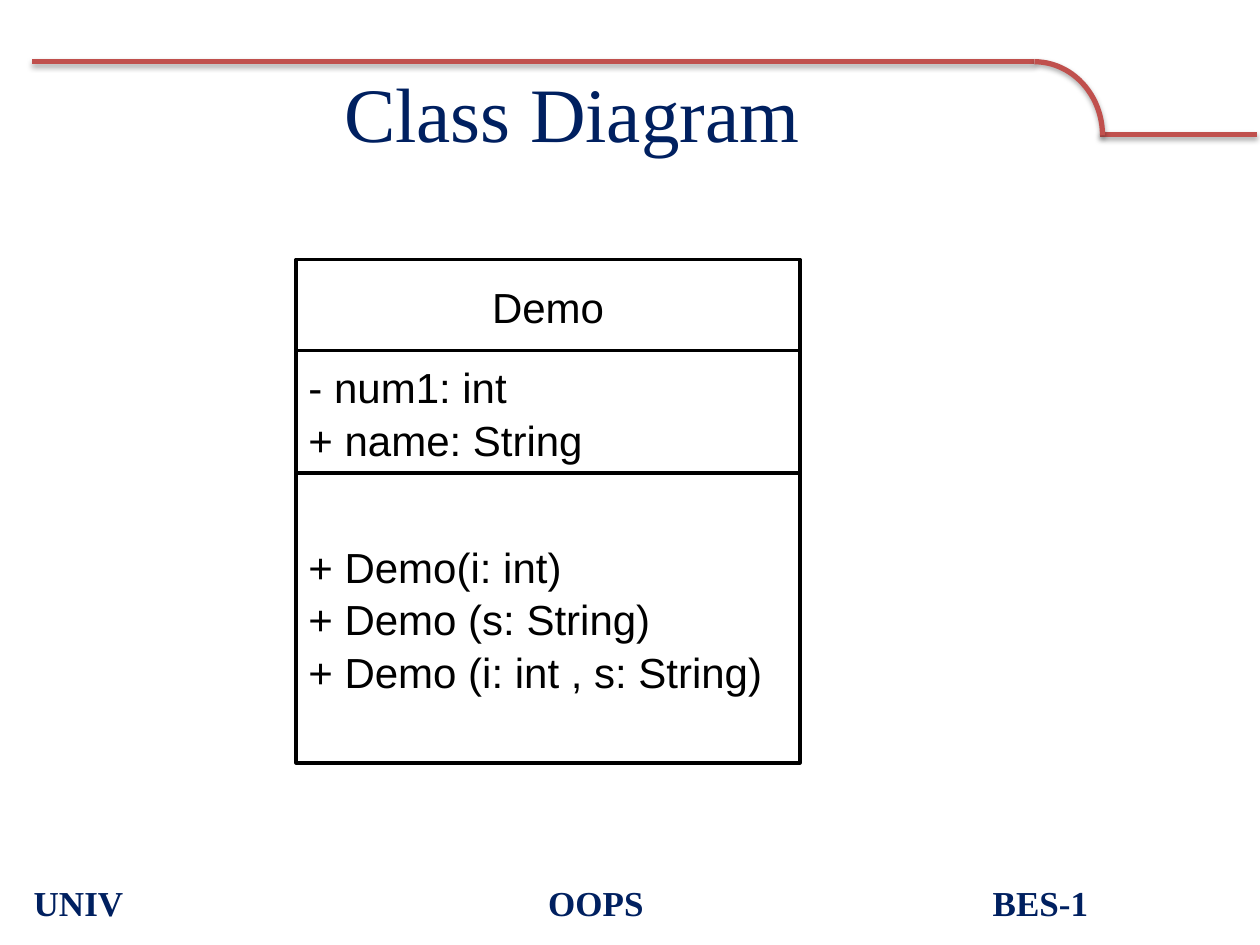
from lxml.etree import SubElement
from pptx import Presentation
from pptx.dml.color import RGBColor
from pptx.enum.shapes import MSO_CONNECTOR, MSO_SHAPE
from pptx.enum.text import MSO_ANCHOR, MSO_AUTO_SIZE, PP_ALIGN
from pptx.oxml.ns import qn
from pptx.util import Pt

NAVY, RED, BLACK = "002060", "C0504D", "000000"
SERIF, SANS = "Times New Roman", "Arial"

TITLE = "Class Diagram"
FOOTER = ["UNIV", "OOPS", "BES-1"]
FOOTER_TABS = [294, 548]
# lines, alignment, height of each compartment
COMPARTMENTS = [
    (["Demo"], PP_ALIGN.CENTER, 52),
    (["- num1: int", "+ name: String"], PP_ALIGN.LEFT, 70),
    (["+ Demo(i: int)", "+ Demo (s: String)", "+ Demo (i: int , s: String)"],
     PP_ALIGN.LEFT, 165.6),
]
CLASS_LEFT, CLASS_TOP, CLASS_WIDTH = 169.2, 148.3, 288
RULES = [(628.5, 77, 718.5, 77), (591, 35.3, 18, 35.3)]
CURVE = (552.2, 35.3, 77.8, 84.2)


def color(hex_code):
    return RGBColor.from_string(hex_code)


def points(*lengths):
    return [Pt(length) for length in lengths]


def format_text(frame, font, size, hex_code, align, bold=False):
    frame.word_wrap = True
    frame.auto_size = MSO_AUTO_SIZE.NONE
    frame.vertical_anchor = MSO_ANCHOR.MIDDLE
    for para in frame.paragraphs:
        para.alignment = align
        for span in para.runs:
            span.font.name = font
            span.font.size = Pt(size)
            span.font.bold = bold
            span.font.color.rgb = color(hex_code)


def style_rule(shape):
    """Give a header line its red stroke and soft shadow straight below."""
    shape.line.color.rgb = color(RED)
    shape.line.width = Pt(3)
    effects = SubElement(shape.element.spPr, qn("a:effectLst"))
    shadow = SubElement(effects, qn("a:outerShdw"), blurRad=str(Pt(3.1)),
                        dist=str(Pt(1.8)), dir="5400000", rotWithShape="0")
    tint = SubElement(shadow, qn("a:srgbClr"), val=BLACK)
    SubElement(tint, qn("a:alpha"), val="35000")


def add_header(page):
    for ends in RULES:
        style_rule(page.shapes.add_connector(MSO_CONNECTOR.STRAIGHT, *points(*ends)))
    curve = page.shapes.add_shape(MSO_SHAPE.ARC, *points(*CURVE))
    curve.fill.background()
    style_rule(curve)


def add_title(page):
    title = page.shapes.title
    title.left, title.top, title.width, title.height = points(36, 38.2, 581.8, 51.8)
    title.text_frame.text = TITLE
    format_text(title.text_frame, SERIF, 44, NAVY, PP_ALIGN.CENTER)


def add_class(page):
    group = page.shapes.add_group_shape()
    top = CLASS_TOP
    for lines, align, height in COMPARTMENTS:
        box = group.shapes.add_shape(
            MSO_SHAPE.RECTANGLE, *points(CLASS_LEFT, top, CLASS_WIDTH, height))
        box.shadow.inherit = False
        box.fill.background()
        box.line.color.rgb = color(BLACK)
        box.line.width = Pt(2)
        box.text_frame.text = "\n".join(lines)
        format_text(box.text_frame, SANS, 24, BLACK, align)
        for para in box.text_frame.paragraphs:
            para.line_spacing = 1.05
        top += height


def add_footer(page):
    footer = page.shapes.add_textbox(*points(12.2, 496.8, 686.9, 37.4))
    footer.text_frame.text = "\t".join(FOOTER)
    format_text(footer.text_frame, SERIF, 20, NAVY, PP_ALIGN.LEFT, bold=True)
    properties = footer.text_frame.paragraphs[0]._p.get_or_add_pPr()
    tabs = SubElement(properties, qn("a:tabLst"))
    for position in FOOTER_TABS:
        SubElement(tabs, qn("a:tab"), pos=str(Pt(position)), algn="l")


def main():
    deck = Presentation()
    deck.slide_width, deck.slide_height = points(720, 540)
    page = deck.slides.add_slide(deck.slide_layouts[5])
    add_header(page)
    add_title(page)
    add_class(page)
    add_footer(page)
    deck.save("out.pptx")


if __name__ == "__main__":
    main()
